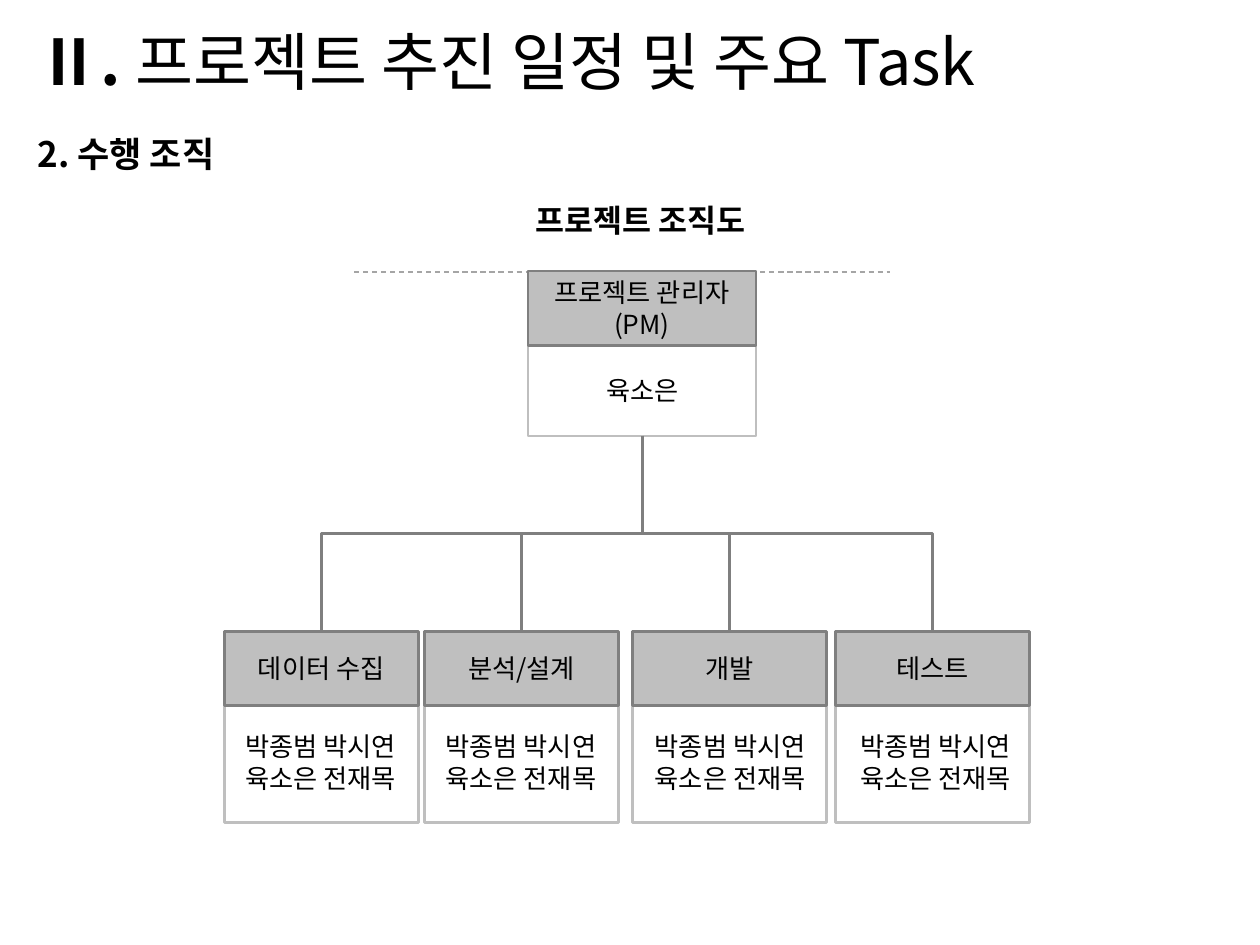
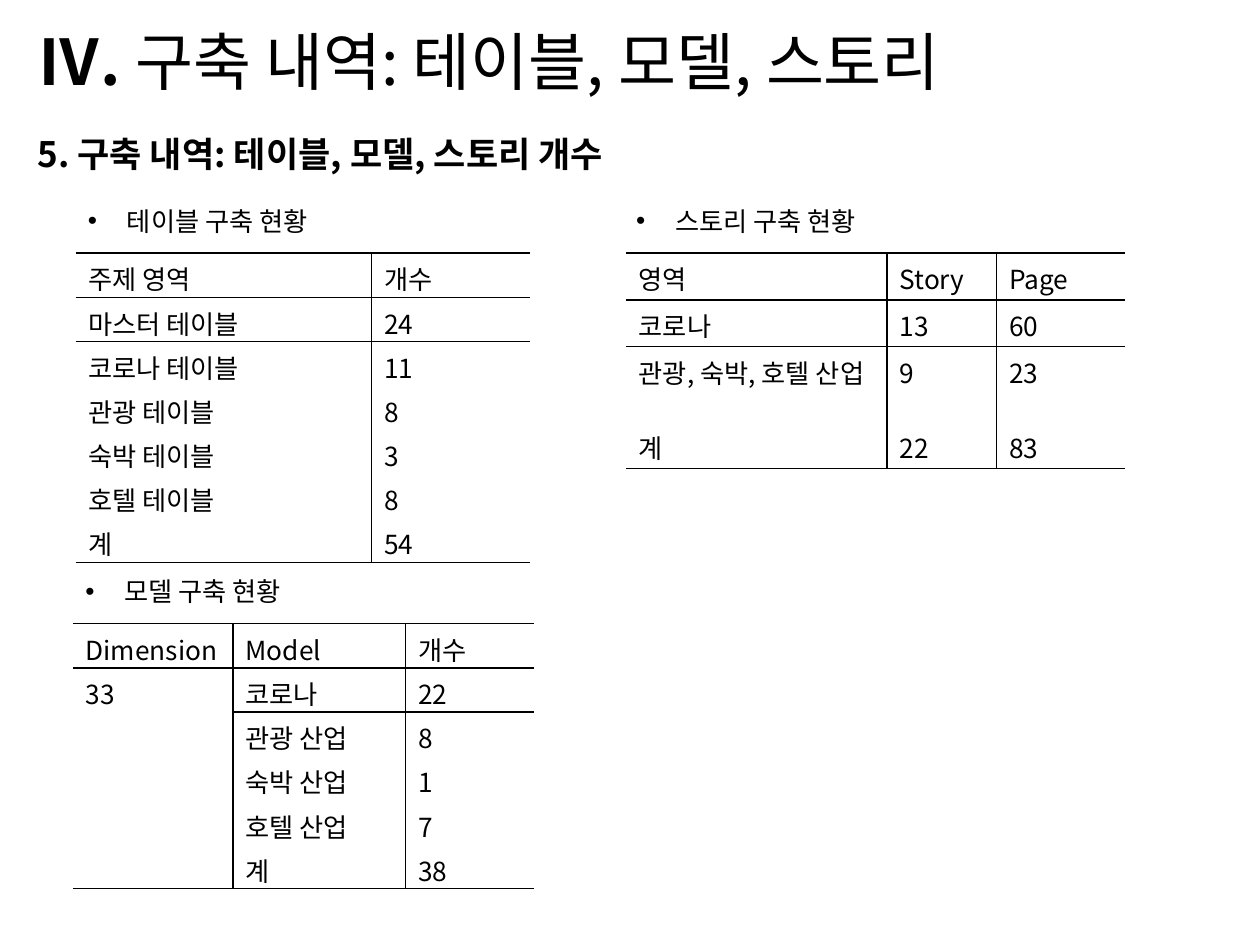
import pptx
import pptx.util
import pptx.dml.color
import pptx.enum.dml
import pptx.enum.shapes
import pptx.enum.text
import pptx.oxml
import pptx.oxml.ns
from lxml import etree

Inches = pptx.util.Inches
Pt = pptx.util.Pt
Align = pptx.enum.text.PP_ALIGN
Shape = pptx.enum.shapes.MSO_SHAPE
Link = pptx.enum.shapes.MSO_CONNECTOR
qn = pptx.oxml.ns.qn

FONT = "Noto Sans CJK KR"
BLACK, GRAY, DARK, PALE = "000000", "BFBFBF", "7F7F7F", "A5A5A5"
BODY = 15
HEAD_H = 0.59
BOX_TOP = 5.01
TEAM = ["박종범 박시연", "육소은 전재목"]


def color(code):
    return pptx.dml.color.RGBColor.from_string(code)


def style(obj, fmt):
    for name, value in fmt.items():
        setattr(obj, name, value)


def add_run(par, text, size=BODY, bold=False):
    run = par.add_run()
    run.text = text
    style(run.font, {"name": FONT, "size": Pt(size), "bold": bold})
    run.font.color.rgb = color(BLACK)
    east = etree.SubElement(run.font._element, qn("a:ea"))
    east.set("typeface", FONT)


def add_text(slide, at, lines, size=BODY, bold=False, align=Align.LEFT):
    """Add a wrapping text box with one paragraph per line."""
    frame = slide.shapes.add_textbox(*map(Inches, at)).text_frame
    frame.word_wrap = True
    for i, line in enumerate(lines):
        par = frame.add_paragraph() if i else frame.paragraphs[0]
        par.alignment = align
        add_run(par, line, size, bold)
    return frame


def add_head(slide, mark, title, topic):
    """Add the numbered slide title and the topic below it."""
    add_text(slide, (0.2, 1, 5.67, 0.44), [topic], 20, True)
    frame = add_text(slide, (0.2, 0.13, 8.74, 0.71), [mark], 36, True)
    add_run(frame.paragraphs[0], title, 36)


def add_bullet(slide, left, top, text):
    frame = add_text(slide, (left, top, 2.06, 0.35), [text])
    props = frame.paragraphs[0]._p.get_or_add_pPr()
    props.set("marL", str(Inches(0.31)))
    props.set("indent", str(Inches(-0.31)))
    etree.SubElement(props, qn("a:buFont")).set("typeface", "Arial")
    etree.SubElement(props, qn("a:buChar")).set("char", "•")


def set_line(shape, code, width):
    shape.line.color.rgb = color(code)
    shape.line.width = Pt(width)


def add_box(slide, at, edge, fill=None, text=None):
    box = slide.shapes.add_shape(Shape.RECTANGLE, *map(Inches, at))
    box.shadow.inherit = False
    set_line(box, edge, 1.5)
    if fill:
        box.fill.solid()
        box.fill.fore_color.rgb = color(fill)
    else:
        box.fill.background()
    if text:
        frame = box.text_frame
        style(frame, {"word_wrap": True,
                      "vertical_anchor": pptx.enum.text.MSO_ANCHOR.MIDDLE})
        frame.paragraphs[0].alignment = Align.CENTER
        add_run(frame.paragraphs[0], text)


def add_card(slide, left, top, width, depth, role):
    """Add a gray role box above an outlined box for names."""
    add_box(slide, (left, top + HEAD_H, width, depth), GRAY)
    add_box(slide, (left, top, width, HEAD_H), DARK, GRAY, role)


def add_link(slide, kind, ends, code, width):
    link = slide.shapes.add_connector(kind, *map(Inches, ends))
    set_line(link, code, width)
    etree.SubElement(link._element.spPr, qn("a:effectLst"))
    return link


def add_branch(slide, x1, y1, x2, y2):
    """Add an elbow that leaves downward: a level elbow turned a quarter."""
    span, drop = abs(x2 - x1), y2 - y1
    left = (x1 + x2 - drop) / 2
    top = (y1 + y2 - span) / 2
    sides = [left, left + drop]
    turn = 90
    if x2 > x1:
        sides.reverse()
        turn = 270
    ends = (sides[0], top, sides[1], top + span)
    link = add_link(slide, Link.ELBOW, ends, DARK, 1.5)
    link._element.spPr.get_or_add_xfrm().set("rot", str(turn * 60000))


def set_edges(cell, shown):
    """Draw the named cell sides in black and hide the others."""
    props = cell._tc.get_or_add_tcPr()
    for i, side in enumerate("LRTB"):
        line = etree.Element(qn("a:ln" + side), w=str(Pt(1)))
        if side in shown:
            fill = etree.SubElement(line, qn("a:solidFill"))
            etree.SubElement(fill, qn("a:srgbClr")).set("val", BLACK)
        else:
            etree.SubElement(line, qn("a:noFill"))
        props.insert(i, line)


def add_grid(slide, left, top, widths, heights, rows, merge=False):
    """Add a table ruled above and below its first two rows and at its end."""
    count, last = len(rows), len(widths) - 1
    size = (left, top, sum(widths), sum(heights))
    grid = slide.shapes.add_table(count, last + 1, *map(Inches, size)).table
    style(grid, {"first_row": False, "horz_banding": False})
    for col, width in zip(grid.columns, widths):
        col.width = Inches(width)
    for row, height in zip(grid.rows, heights):
        row.height = Inches(height)
    if merge:
        grid.cell(1, 0).merge(grid.cell(count - 1, 0))
    rules = {0, 1, 2, count}
    for r, row in enumerate(rows):
        for c, text in enumerate(row):
            cell = grid.cell(r, c)
            cell.fill.background()
            if text:
                add_run(cell.text_frame.paragraphs[0], text)
            sides = {"L": c > 0, "R": c < last,
                     "T": r in rules and not cell.is_spanned,
                     "B": r + 1 in rules}
            set_edges(cell, [side for side, on in sides.items() if on])


def add_chart(slide):
    """Build the project organisation chart."""
    add_head(slide, "Ⅱ. ", "프로젝트 추진 일정 및 주요 Task", "2. 수행 조직")
    dash = add_link(slide, Link.STRAIGHT, (2.81, 2.16, 7.06, 2.16), PALE, 0.75)
    dash.line.dash_style = pptx.enum.dml.MSO_LINE.DASH
    add_text(slide, (3.87, 1.55, 2.43, 0.37), ["프로젝트 조직도"], 18, True,
             Align.CENTER)
    add_card(slide, 4.19, 2.15, 1.81, 0.72, "프로젝트 관리자(PM)")
    add_text(slide, (4.39, 2.92, 1.42, 0.37), ["육소은"], align=Align.CENTER)
    roles = [("데이터 수집", 1.78, 1.74), ("분석/설계", 3.37, 3.33),
             ("개발", 5.02, 4.99), ("테스트", 6.63, 6.62)]
    for role, left, name_x in roles:
        add_card(slide, left, BOX_TOP, 1.54, 0.93, role)
        add_branch(slide, 5.1, 3.46, left + 0.77, BOX_TOP)
        add_text(slide, (name_x, 5.75, 1.61, 0.64), TEAM, align=Align.CENTER)


def add_counts(slide):
    """Build the tables of what was made."""
    add_head(slide, "Ⅳ. ", "구축 내역: 테이블, 모델, 스토리",
             "5. 구축 내역: 테이블, 모델, 스토리 개수")
    add_bullet(slide, 0.6, 1.58, "테이블 구축 현황")
    add_grid(slide, 0.6, 2.01, [2.35, 1.26], [0.35] * 7, [
        ("주제 영역", "개수"),
        ("마스터 테이블", "24"),
        ("코로나 테이블", "11"),
        ("관광 테이블", "8"),
        ("숙박 테이블", "3"),
        ("호텔 테이블", "8"),
        ("계", "54")])
    add_bullet(slide, 0.58, 4.52, "모델 구축 현황")
    add_grid(slide, 0.58, 4.95, [1.27, 1.37, 1.02], [0.35] * 6, [
        ("Dimension", "Model", "개수"),
        ("33", "코로나", "22"),
        ("", "관광 산업", "8"),
        ("", "숙박 산업", "1"),
        ("", "호텔 산업", "7"),
        ("", "계", "38")], merge=True)
    add_bullet(slide, 4.95, 1.58, "스토리 구축 현황")
    add_grid(slide, 4.97, 2.01, [2.07, 0.87, 1.02], [0.37, 0.37, 0.6, 0.37], [
        ("영역", "Story", "Page"),
        ("코로나", "13", "60"),
        ("관광, 숙박, 호텔 산업", "9", "23"),
        ("계", "22", "83")])


def main():
    deck = pptx.Presentation()
    style(deck, {"slide_width": Inches(10), "slide_height": Inches(7.5)})
    for build in (add_chart, add_counts):
        build(deck.slides.add_slide(deck.slide_layouts[6]))
    deck.save("out.pptx")


if __name__ == "__main__":
    main()
